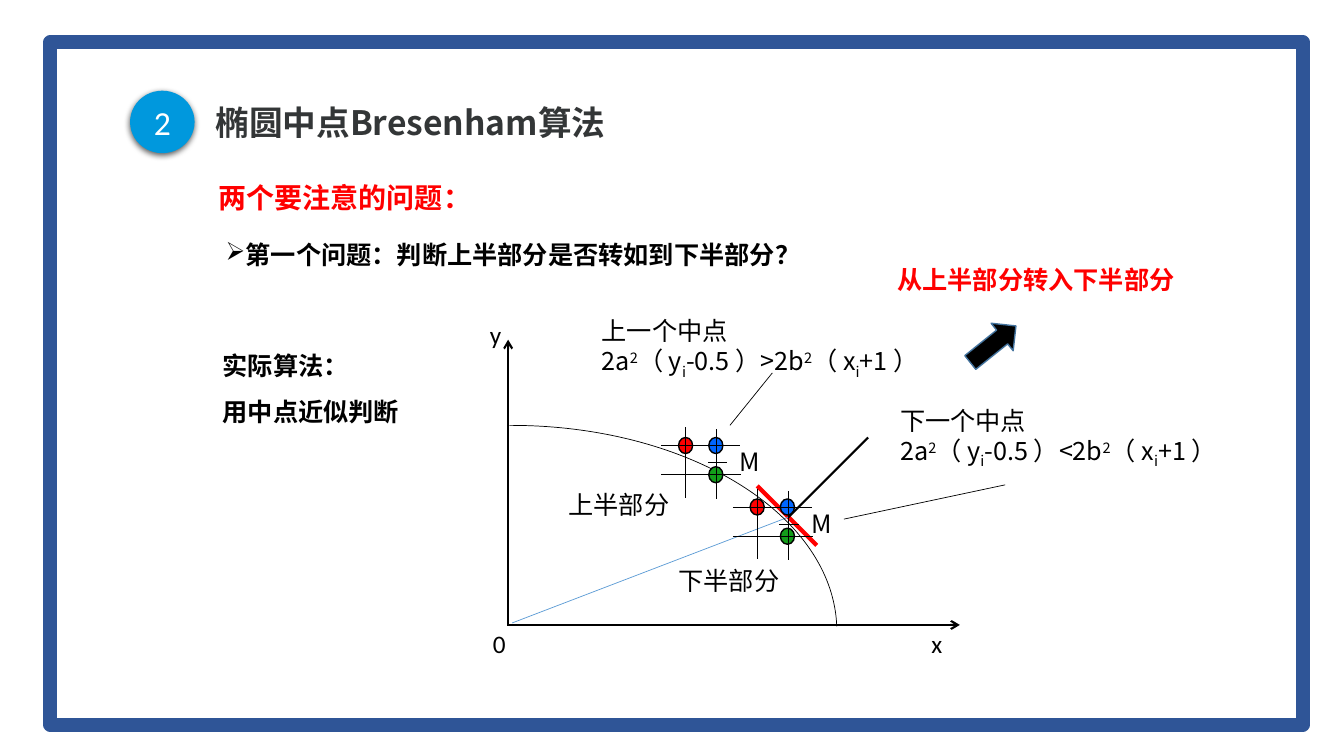
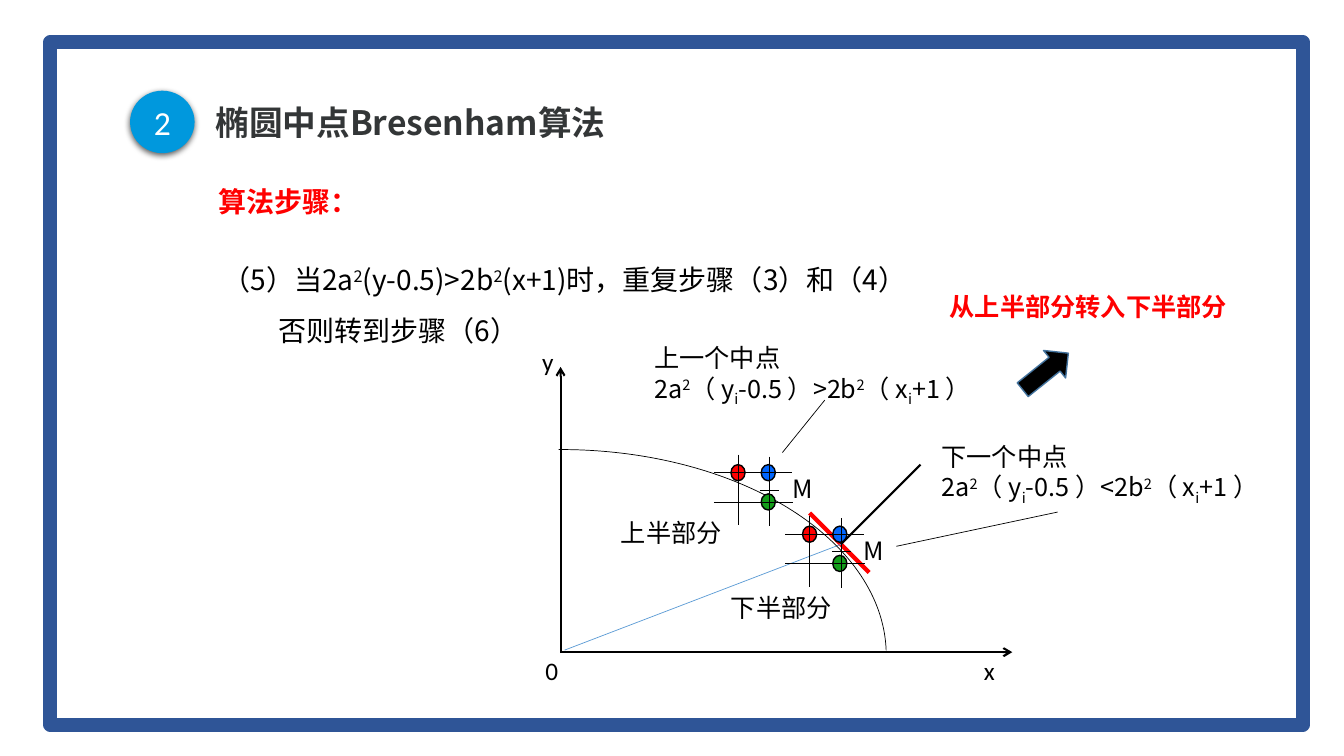
from lxml.etree import SubElement
from pptx import Presentation
from pptx.dml.color import RGBColor
from pptx.enum.shapes import MSO_CONNECTOR, MSO_SHAPE
from pptx.enum.text import MSO_ANCHOR, MSO_AUTO_SIZE, PP_ALIGN
from pptx.oxml.ns import qn
from pptx.util import Inches, Pt

COLORS = {
    "white": "FFFFFF", "black": "000000", "frame": "2F5597", "title": "333637",
    "badge": "0098DD", "red": "FF0000", "blue": "0066FF", "green": "139D1A",
    "ray": "5B9BD5", "arrow_edge": "43739E",
}
CJK = "Noto Sans CJK SC"
LATIN = "Calibri"
BASELINES = {"^": "30000", "_": "-25000"}

HEADING = {"size": 20, "color": "red", "bold": True}
STRONG = {"bold": True}
ALERT = {"color": "red", "bold": True}
AXIS = {"font": LATIN, "wrap": True}

CONDITION = "2a|^2|（ y|_i|-0.5 ）{}2b|^2|（ x|_i|+1 ）"


def rgb(name):
    return RGBColor.from_string(COLORS[name])


# ---- Basic parts ----
def add_run(paragraph, text, font=CJK, size=18, color="black", bold=False):
    """Add one run; a leading ^ or _ makes it superscript or subscript."""
    run = paragraph.add_run()
    mark = text[0] if text[0] in BASELINES else ""
    run.text = text[len(mark):]
    for name, value in {"name": font, "size": Pt(size), "bold": bold}.items():
        setattr(run.font, name, value)
    run.font.color.rgb = rgb(color)
    properties = run._r.get_or_add_rPr()
    if mark:
        properties.set("baseline", BASELINES[mark])
    SubElement(properties, qn("a:ea")).set("typeface", font)


def add_text(shapes, box, lines, wrap=False, grow=True, anchor=MSO_ANCHOR.TOP,
             spacing=None, bullet=None, last_indent=0, **run_format):
    """Add a text box; the parts of a line are parted by |."""
    shape = shapes.add_textbox(*map(Inches, box))
    frame = shape.text_frame
    settings = {
        "word_wrap": wrap,
        "vertical_anchor": anchor,
        "auto_size": MSO_AUTO_SIZE.SHAPE_TO_FIT_TEXT if grow else MSO_AUTO_SIZE.NONE,
    }
    for name, value in settings.items():
        setattr(frame, name, value)
    for index, line in enumerate(lines):
        paragraph = frame.add_paragraph() if index else frame.paragraphs[0]
        properties = paragraph._p.get_or_add_pPr()
        if bullet:
            SubElement(properties, qn("a:buChar")).set("char", bullet)
        if last_indent and index == len(lines) - 1:
            properties.set("marL", str(Inches(last_indent)))
        if spacing:
            paragraph.line_spacing = spacing
        for text in line.split("|"):
            add_run(paragraph, text, **run_format)
    return shape


def add_shape(shapes, kind, box, fill=None, line=None, width=1.0):
    shape = shapes.add_shape(kind, *map(Inches, box))
    shape.shadow.inherit = False
    if fill:
        shape.fill.solid()
        shape.fill.fore_color.rgb = rgb(fill)
    else:
        shape.fill.background()
    if line:
        shape.line.color.rgb = rgb(line)
        shape.line.width = Pt(width)
    else:
        shape.line.fill.background()
    return shape


def add_line(shapes, start, end, color="black", width=0.5, arrow=False):
    connector = shapes.add_connector(
        MSO_CONNECTOR.STRAIGHT, *map(Inches, (*start, *end)))
    connector.line.color.rgb = rgb(color)
    connector.line.width = Pt(width)
    if arrow:
        SubElement(connector.line._get_or_add_ln(), qn("a:tailEnd")).set("type", "arrow")
    SubElement(connector._element.spPr, qn("a:effectLst"))


# ---- Shared frame and title ----
def add_frame(shapes):
    panel = add_shape(shapes, MSO_SHAPE.RECTANGLE, (0.58, 0.5, 12.25, 6.62), "white")
    color = panel._element.spPr.find(qn("a:solidFill"))[0]
    SubElement(color, qn("a:alpha")).set("val", "86000")
    add_shape(shapes, MSO_SHAPE.RECTANGLE, (0.5, 0.42, 12.42, 6.77),
              line="frame", width=10)


def add_title(shapes, number, title):
    add_text(shapes, (2.04, 0.93, 8.35, 0.61), [title], wrap=True, grow=False,
             anchor=MSO_ANCHOR.MIDDLE, spacing=0.9, size=24, color="title", bold=True)
    # Numbered badge with a soft shadow
    badge = add_shape(shapes, MSO_SHAPE.OVAL, (1.29, 0.9, 0.64, 0.62), "badge")
    shadow = SubElement(badge._element.spPr.find(qn("a:effectLst")), qn("a:outerShdw"))
    for name, value in {"blurRad": Pt(4.5), "dist": Pt(1.5), "dir": 5400000}.items():
        shadow.set(name, str(value))
    color = SubElement(shadow, qn("a:srgbClr"))
    color.set("val", COLORS["black"])
    SubElement(color, qn("a:alpha")).set("val", "63000")
    frame = badge.text_frame
    for side in ("left", "top", "right", "bottom"):
        setattr(frame, f"margin_{side}", 0)
    frame.vertical_anchor = MSO_ANCHOR.MIDDLE
    frame.paragraphs[0].alignment = PP_ALIGN.CENTER
    add_run(frame.paragraphs[0], number, font=LATIN, size=24, color="white")


# ---- Ellipse figure ----
def add_pixel_group(shapes, left, top):
    """Three candidate pixels on their grid lines, with the midpoint M."""
    group = shapes.add_group_shape().shapes
    for color, x, y in (("blue", 0.47, 0.1), ("green", 0.47, 0.39), ("red", 0.17, 0.1)):
        add_shape(group, MSO_SHAPE.OVAL, (left + x, top + y, 0.14, 0.16), color, "black")
    grid = (
        (0, 0.18, 0.78, 0.18), (0, 0.47, 0.79, 0.47),
        (0.24, 0, 0.24, 0.7), (0.55, 0.02, 0.55, 0.71),
        (0.46, 0.35, 0.65, 0.35),
    )
    for x1, y1, x2, y2 in grid:
        add_line(group, (left + x1, top + y1), (left + x2, top + y2))
    add_text(group, (left + 0.68, top + 0.14, 0.45, 0.4), ["M"])


def add_ellipse_figure(shapes, left, top, next_note, arc):
    """Draw the figure from its top left; next_note and arc are offsets."""
    def at(x, y, *size):
        return (left + x, top + y, *size)

    # Axes and their labels
    add_line(shapes, at(0.29, 3.63), at(4.76, 3.63), width=1.5, arrow=True)
    add_line(shapes, at(0.28, 3.64), at(0.28, 0.8), width=1.5, arrow=True)
    for label, x, y in (("y", 0, 0.55), ("x", 4.38, 3.61), ("0", 0.03, 3.61)):
        add_text(shapes, at(x, y, 0.86, 0.4), [label], **AXIS)

    # Tangent, normal and ray at the turning point
    turning_point = at(3.06, 2.56)
    add_line(shapes, at(2.75, 2.25), at(3.34, 2.84), "red", 3)
    add_line(shapes, turning_point, at(3.85, 1.77), width=1.5)
    add_line(shapes, turning_point, at(0.32, 3.61), "ray")

    # Quarter ellipse and its two parts
    curve = add_shape(shapes, MSO_SHAPE.ARC, at(*arc, 6.45, 4.08), line="black", width=0.5)
    curve.adjustments[0], curve.adjustments[1] = 161.602, 215.499
    add_text(shapes, at(0.78, 2.24, 1.21, 0.4), ["上半部分"])
    add_text(shapes, at(1.87, 2.99, 1.21, 0.4), ["下半部分"])

    # Pixels on both sides of the turning point
    for x, y in ((1.8, 1.67), (2.51, 2.28)):
        add_pixel_group(shapes, *at(x, y))

    # Midpoint conditions with their leaders
    notes = (("上一个中点", ">", (1.11, 0.51)), ("下一个中点", "<", next_note))
    for name, sign, place in notes:
        add_text(shapes, at(*place, 4, 0.71), [name, CONDITION.format(sign)], wrap=True)
    add_line(shapes, at(2.9, 1.13), at(2.48, 1.65))
    add_line(shapes, at(5.21, 2.24), at(3.61, 2.58))

    # Conclusion
    arrow = add_shape(shapes, MSO_SHAPE.RIGHT_ARROW, at(4.8, 0.67, 0.58, 0.35),
                      "black", "arrow_edge")
    arrow.rotation = 321.3
    add_text(shapes, at(4.04, 0, 2.98, 0.4), ["从上半部分转入下半部分"], **ALERT)


# ---- Slides ----
def start_slide(presentation):
    slide = presentation.slides.add_slide(presentation.slide_layouts[6])
    add_frame(slide.shapes)
    add_title(slide.shapes, "2", "椭圆中点Bresenham算法")
    return slide.shapes


def build_question_slide(presentation):
    shapes = start_slide(presentation)
    add_text(shapes, (2.07, 1.74, 2.73, 0.44), ["两个要注意的问题："], **HEADING)
    add_text(shapes, (2.14, 2.33, 5.96, 0.4),
             ["第一个问题：判断上半部分是否转如到下半部分？"], bullet="➢", **STRONG)
    add_text(shapes, (2.11, 3.28, 1.97, 1.01), ["实际算法：", "用中点近似判断"],
             spacing=1.5, **STRONG)
    add_ellipse_figure(shapes, 4.76, 2.57, next_note=(4.07, 1.4), arc=(-2.91, 1.65))


def build_steps_slide(presentation):
    shapes = start_slide(presentation)
    add_text(shapes, (2.07, 1.82, 1.6, 0.4), ["算法步骤："], spacing=0.9, **HEADING)
    steps = ["（5）当2a|^2|(y-0.5)>2b|^2|(x+1)时，重复步骤（3）和（4）", "否则转到步骤（6）"]
    add_text(shapes, (2.11, 2.39, 10.24, 1.11), steps, wrap=True, spacing=1.5,
             last_indent=0.55, size=20)
    add_ellipse_figure(shapes, 5.28, 2.84, next_note=(3.96, 1.49), arc=(-2.94, 1.62))


def main():
    presentation = Presentation()
    presentation.slide_width = Inches(13.33)
    presentation.slide_height = Inches(7.5)
    build_question_slide(presentation)
    build_steps_slide(presentation)
    presentation.save("out.pptx")


if __name__ == "__main__":
    main()
